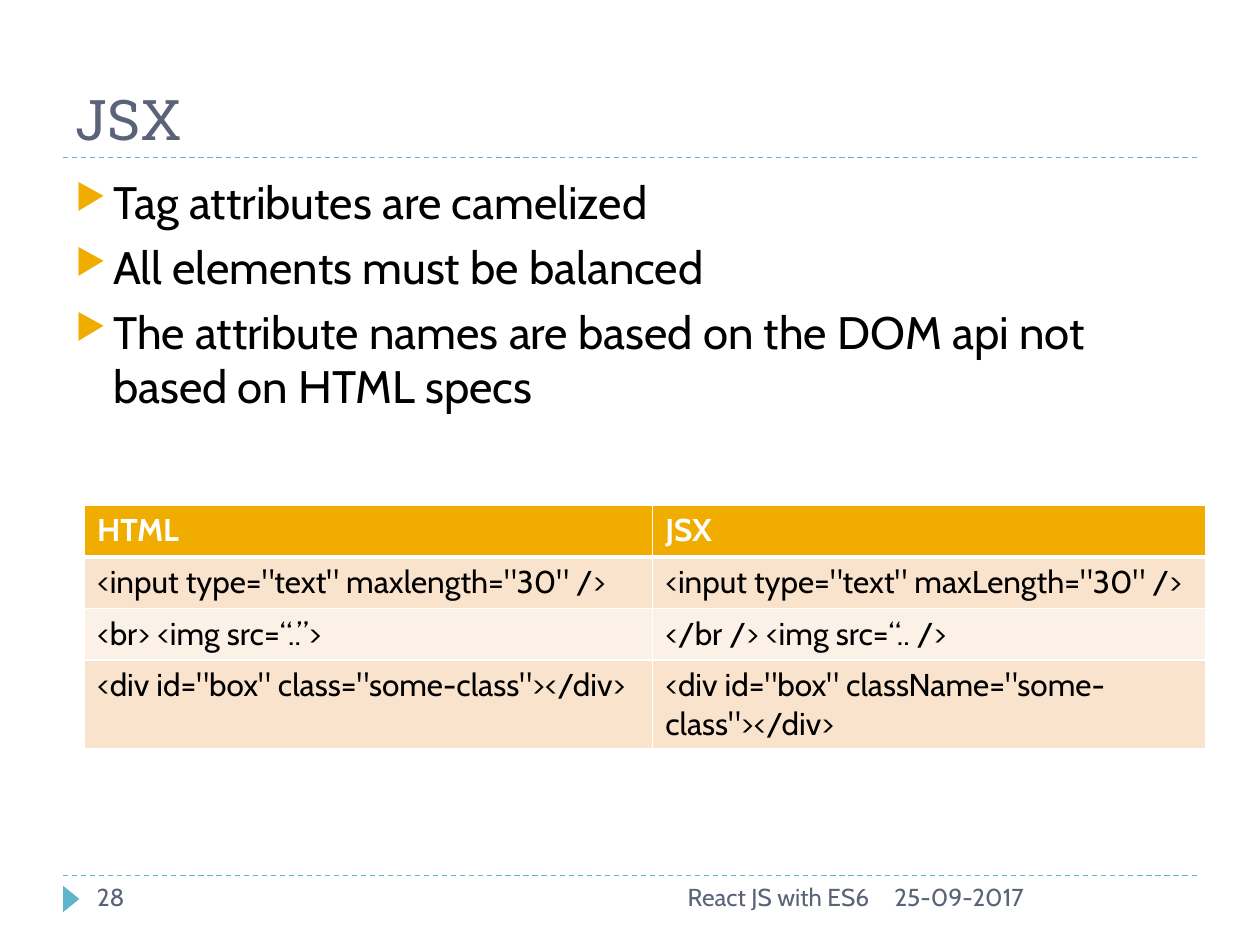
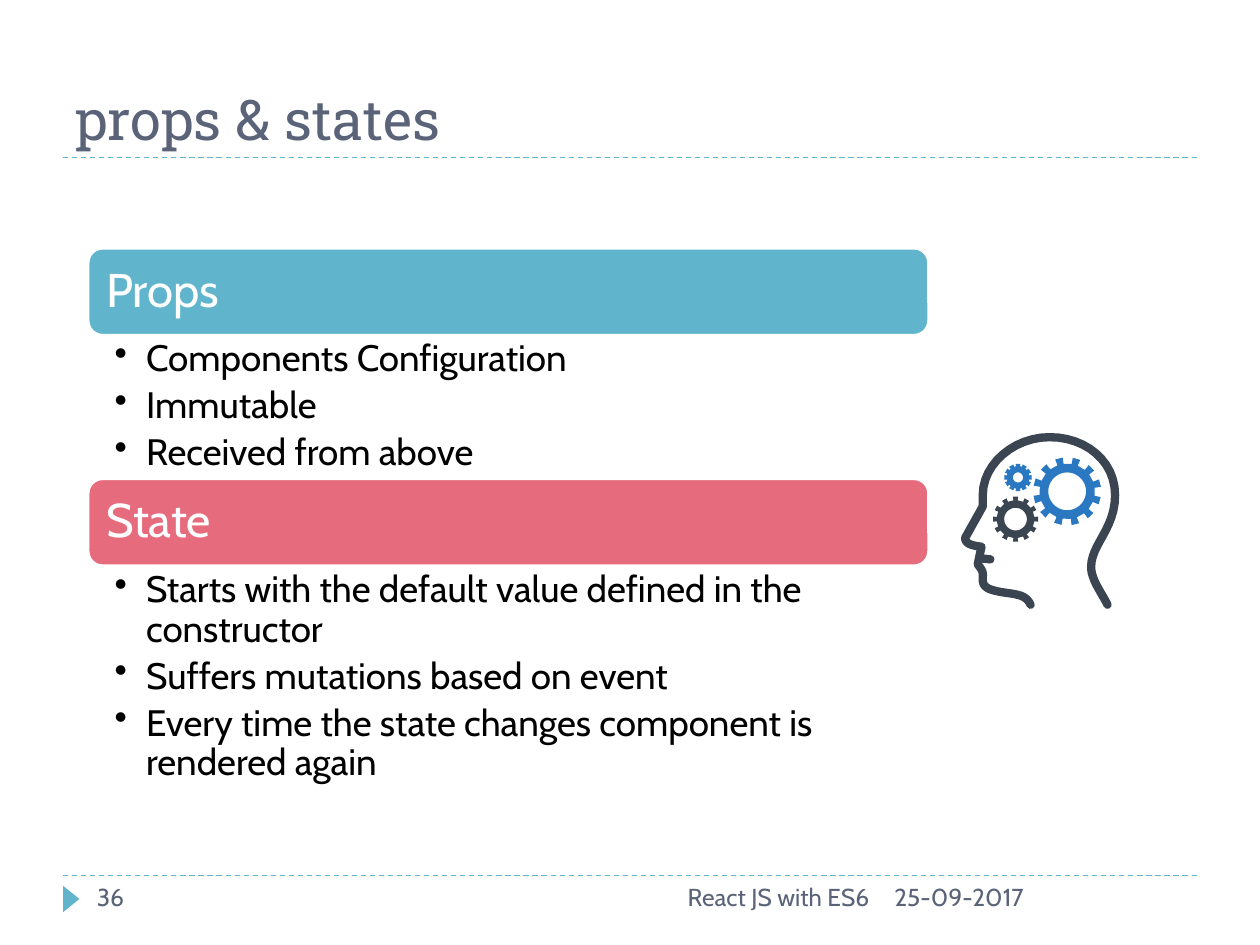
import math
from dataclasses import dataclass

from lxml import etree
from pptx import Presentation
from pptx import util as u
from pptx.dml.color import RGBColor
from pptx.enum import dml, shapes, text
from pptx.oxml.ns import qn


@dataclass(frozen=True)
class Theme:
    ink: str = "000000"
    white: str = "FFFFFF"
    slate: str = "5A6378"
    teal: str = "60B5CC"
    rose: str = "E66C7D"
    gold: str = "F0AD00"
    sand: str = "F9E3CC"
    cream: str = "FCF1E7"
    dark: str = "3B4552"
    blue: str = "2B78C2"
    head: str = "Roboto Slab"
    body: str = "Cabin"
    title: int = 32
    band: int = 27
    text: int = 26
    item: int = 21
    cell: int = 18
    foot: int = 14


def put(obj, **vals):
    for name, val in vals.items():
        setattr(obj, name, val)


def node(up, tag, **vals):
    return etree.SubElement(up, qn(tag), **vals)


def box(*vals):
    return [u.Inches(v) for v in vals]


def curve(start, parts, steps=12):
    """Points along joined cubic curves; a part with one point is a straight line."""
    pts = [start]
    for part in parts:
        if len(part) == 1:
            pts += part
            continue
        a, (b, c, d) = pts[-1], part
        for i in range(1, steps + 1):
            t = i / steps
            s = 1 - t
            pts.append(tuple(s**3 * a[k] + 3 * s * s * t * b[k]
                             + 3 * s * t * t * c[k] + t**3 * d[k] for k in (0, 1)))
    return pts


def ring(x, y, rad, turn):
    """Point at an angle in degrees on a circle."""
    rise = math.radians(turn)
    return x + rad * math.cos(rise), y + rad * math.sin(rise)


class Deck:
    def __init__(self, look):
        self.look = look
        self.file = Presentation()
        put(self.file, slide_width=u.Inches(10), slide_height=u.Inches(7.5))
        self.slide = None

    def page(self, title, number):
        """Start a slide with the shared title, rules and footer."""
        look = self.look
        self.slide = self.file.slides.add_slide(self.file.slide_layouts[6])
        for y in (6.95, 1.25):
            self.rule(y)
        mark = self.shape(shapes.MSO_SHAPE.ISOSCELES_TRIANGLE,
                          (0.46, 7.07, 0.21, 0.13), look.teal)
        mark.rotation = 90
        self.label((0.5, 0.17, 9, 1.08), [title], look.title, look.slate,
                   font=look.head, anchor=text.MSO_ANCHOR.BOTTOM)
        for x, wide, words, side in ((7, 2.5, "25-09-2017", "LEFT"),
                                     (3.17, 3.83, "React JS with ES6", "RIGHT"),
                                     (0.67, 2.17, number, "LEFT")):
            self.label((x, 6.95, wide, 0.4), [words], look.foot, look.slate,
                       para={"alignment": text.PP_ALIGN[side]})

    def rule(self, y):
        link = self.slide.shapes.add_connector(
            shapes.MSO_CONNECTOR.STRAIGHT, *box(0.5, y, 9.5, y))
        link.line.color.rgb = RGBColor.from_string(self.look.teal)
        put(link.line, width=u.Pt(0.75), dash_style=dml.MSO_LINE.DASH)
        node(link._element.spPr, "a:effectLst")

    def paint(self, shape, fill=None, line=None, width=0):
        shape.shadow.inherit = False
        for part, tint in ((shape.fill, fill), (shape.line.fill, line)):
            if tint:
                part.solid()
                part.fore_color.rgb = RGBColor.from_string(tint)
            else:
                part.background()
        if line:
            shape.line.width = u.Pt(width)

    def shape(self, kind, at, fill, line=None, width=0):
        shape = self.slide.shapes.add_shape(kind, *box(*at))
        self.paint(shape, fill, line, width)
        return shape

    def typeset(self, frame, lines, size, color, font=None, bold=False, para=None, dot=None):
        """Fill a text frame, one paragraph a line, with optional bullets."""
        for i, words in enumerate(lines):
            p = frame.add_paragraph() if i else frame.paragraphs[0]
            put(p, **{"alignment": text.PP_ALIGN.LEFT, **(para or {})})
            run = p.add_run()
            run.text = words
            put(run.font, name=font or self.look.body, size=u.Pt(size), bold=bold)
            run.font.color.rgb = RGBColor.from_string(color)
            if dot:
                self.bullet(p, **dot)

    def bullet(self, p, char, indent, color, size=100):
        props = p._p.get_or_add_pPr()
        props.set("marL", str(u.Inches(indent)))
        props.set("indent", str(-u.Inches(indent)))
        node(node(props, "a:buClr"), "a:srgbClr", val=color)
        node(props, "a:buSzPct", val=str(size * 1000))
        node(props, "a:buChar", char=char)

    def label(self, at, lines, size, color, anchor=text.MSO_ANCHOR.TOP,
              pad=(0.1, 0.05), **style):
        frame = self.slide.shapes.add_textbox(*box(*at)).text_frame
        self.fit(frame, anchor, pad)
        self.typeset(frame, lines, size, color, **style)

    def fit(self, frame, anchor, pad):
        x, y = box(*pad)
        put(frame, word_wrap=True, vertical_anchor=anchor, margin_left=x,
            margin_right=x, margin_top=y, margin_bottom=y)

    def band(self, y, words, fill):
        look = self.look
        bar = self.shape(shapes.MSO_SHAPE.ROUNDED_RECTANGLE,
                         (0.7, y, 6.67, 0.69), fill, look.white, 1.5)
        self.fit(bar.text_frame, text.MSO_ANCHOR.MIDDLE, (0.11, 0.11))
        self.typeset(bar.text_frame, [words], look.band, look.white,
                     para={"line_spacing": 0.9})

    def table(self, at, cols, rows):
        look = self.look
        grid = self.slide.shapes.add_table(len(rows), len(cols), *box(*at)).table
        for col, wide in zip(grid.columns, cols):
            col.width = u.Inches(wide)
        fills = look.gold, look.sand, look.cream, look.sand
        for r, row in enumerate(rows):
            grid.rows[r].height = u.Inches(0.41)
            for c, words in enumerate(row):
                cell = grid.cell(r, c)
                self.edge(cell, top=3 if r == 1 else 1, base=1 if r else 3)
                cell.fill.solid()
                cell.fill.fore_color.rgb = RGBColor.from_string(fills[r])
                self.typeset(cell.text_frame, [words], look.cell,
                             look.ink if r else look.white, bold=r == 0)

    def edge(self, cell, top, base):
        props = cell._tc.get_or_add_tcPr()
        for side, wide in zip("LRTB", (1, 1, top, base)):
            line = node(props, f"a:ln{side}", w=str(u.Pt(wide)))
            node(node(line, "a:solidFill"), "a:srgbClr", val=self.look.white)

    def form(self, *loops, close=True):
        loops = [[box(*pt) for pt in loop] for loop in loops]
        pen = self.slide.shapes.build_freeform(*loops[0][0], scale=1.0)
        for i, loop in enumerate(loops):
            if i:
                pen.move_to(*loop[0])
            pen.add_line_segments(loop[1:], close=close)
        return pen.convert_to_shape()

    def gear(self, x, y, tip, root, hole, fill, turn=0, wide=13):
        """Twelve-toothed wheel with a round hole; wide is a tooth tip in degrees."""
        rim = [ring(x, y, rad, turn + 30 * i + side * wide / 2)
               for i in range(12)
               for rad, side in ((root, -1), (tip, -1), (tip, 1), (root, 1))]
        gap = [ring(x, y, hole, -10 * i) for i in range(36)]
        self.paint(self.form(rim, gap), fill)

    def stroke(self, pts, color, width):
        shape = self.form(pts, close=False)
        self.paint(shape, line=color, width=width)
        line = shape.line._get_or_add_ln()
        line.set("cap", "rnd")
        node(line, "a:round")


def syntax(deck):
    look = deck.look
    deck.page("JSX", "28")
    deck.label((0.5, 1.33, 9, 5.4), [
        "Tag attributes are camelized",
        "All elements must be balanced",
        "The attribute names are based on the DOM api not based on HTML specs",
    ], look.text, look.ink, para={"space_before": u.Pt(6)},
        dot={"char": "▶", "indent": 0.3, "color": look.gold, "size": 76})
    deck.table((0.67, 4.01, 8.9, 1.64), (4.51, 4.39), [
        ("HTML", "JSX"),
        ('<input type="text" maxlength="30" />', '<input type="text" maxLength="30" />'),
        ("<br> <img src=“..”>", "</br /> <img src=“.. />"),
        ('<div id="box" class="some-class"></div>',
         '<div id="box" className="some-class"></div>'),
    ])


def thinker(deck):
    """Head in profile with three gears."""
    look = deck.look
    deck.gear(8.06, 4.12, 0.18, 0.15, 0.09, look.dark)
    deck.gear(8.47, 3.9, 0.27, 0.22, 0.15, look.blue, turn=16)
    deck.gear(8.08, 3.79, 0.11, 0.09, 0.04, look.blue, wide=20)
    deck.stroke(curve((8.18, 4.8), [
        [(8.14, 4.72), (8.08, 4.72), (7.95, 4.7)],
        [(7.84, 4.68), (7.8, 4.66), (7.8, 4.6)],
        [(7.8, 4.55), (7.81, 4.54), (7.76, 4.48)],
        [(7.77, 4.43)], [(7.86, 4.44)], [(7.77, 4.43)], [(7.79, 4.34)],
        [(7.72, 4.33), (7.66, 4.32), (7.66, 4.27)],
        [(7.8, 4.02)],
        [(7.8, 3.98), (7.8, 3.95), (7.8, 3.93)],
        [(7.8, 3.68), (8.05, 3.47), (8.33, 3.47)],
        [(8.62, 3.47), (8.85, 3.66), (8.85, 3.93)],
        [(8.85, 4.2), (8.66, 4.32), (8.66, 4.5)],
        [(8.66, 4.6), (8.74, 4.7), (8.79, 4.8)],
    ]), look.dark, 4.75)


def storage(deck):
    look = deck.look
    deck.page("props & states", "36")
    for y, tall, name, fill, items in (
        (1.97, 1.13, "Props", look.teal,
         ["Components Configuration", "Immutable", "Received from above"]),
        (3.8, 1.74, "State", look.rose,
         ["Starts with the default value defined in the constructor",
          "Suffers mutations based on event",
          "Every time the state changes component is rendered again"]),
    ):
        deck.band(y, name, fill)
        deck.label((0.7, y + 0.69, 6.67, tall), items, look.item, look.ink,
                   pad=(0.21, 0.04),
                   para={"line_spacing": 0.9, "space_after": u.Pt(4.2)},
                   dot={"char": "•", "indent": 0.25, "color": look.ink})
    thinker(deck)


def main():
    deck = Deck(Theme())
    syntax(deck)
    storage(deck)
    deck.file.save("out.pptx")


if __name__ == "__main__":
    main()
